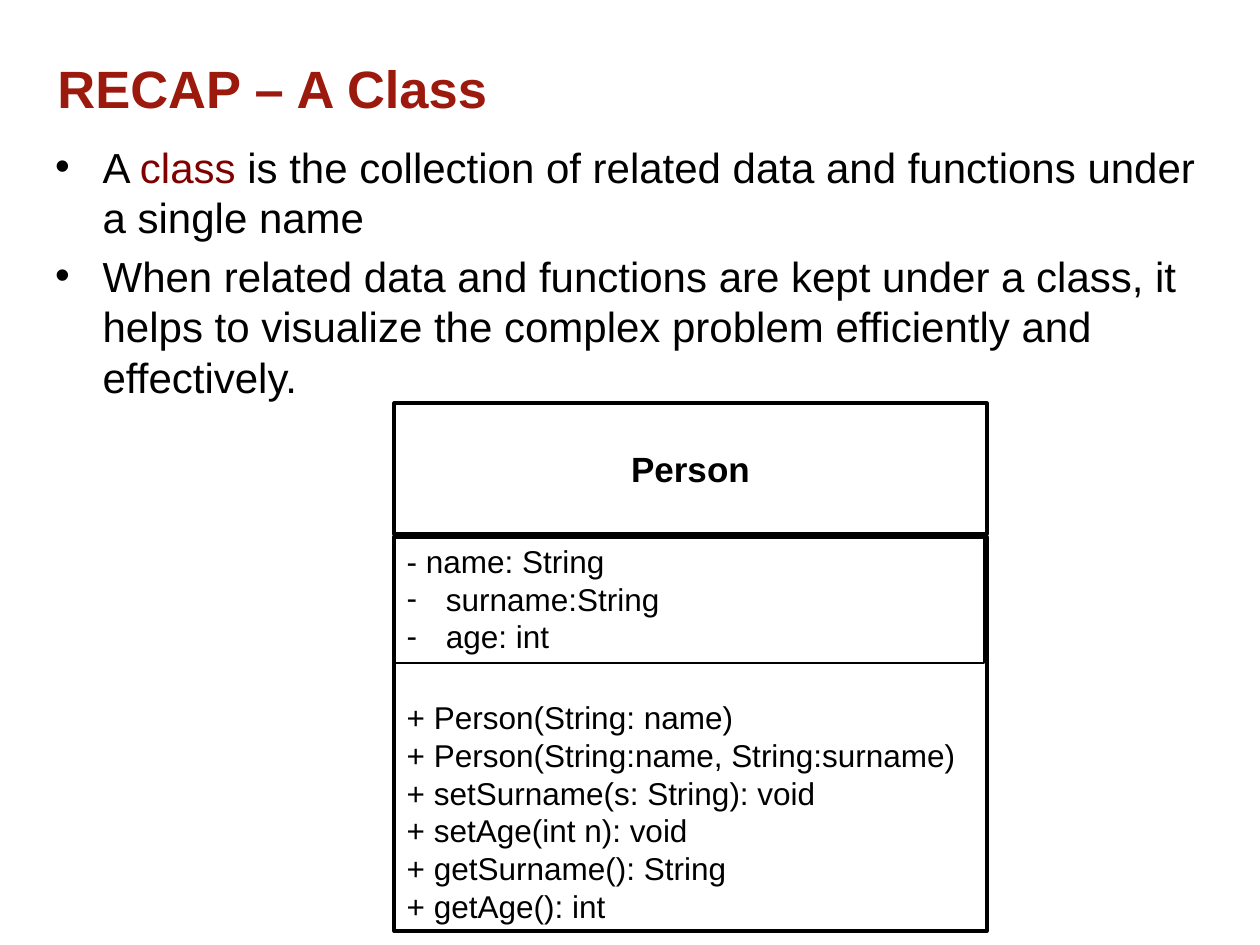
import pptx
import pptx.util
import pptx.dml.color
import pptx.enum.shapes
import pptx.enum.text
import lxml.etree

Cm = pptx.util.Cm
Pt = pptx.util.Pt
Align = pptx.enum.text.PP_ALIGN
Anchor = pptx.enum.text.MSO_ANCHOR


def color(code):
    return pptx.dml.color.RGBColor.from_string(code)


def write(shape, paras, form, anchor):
    frame = shape.text_frame
    frame.word_wrap = True
    frame.vertical_anchor = anchor
    for i, (mark, indent, runs) in enumerate(paras):
        para = frame.paragraphs[0] if i == 0 else frame.add_paragraph()
        para.alignment = form["align"]
        para.space_before = Pt(form["before"])
        if mark:
            props = para._p.get_or_add_pPr()
            props.set("marL", str(Cm(indent)))
            props.set("indent", str(-Cm(indent)))
            space = props.nsmap["a"]
            lxml.etree.SubElement(props, f"{{{space}}}buFont", typeface="Arial")
            lxml.etree.SubElement(props, f"{{{space}}}buChar", char=mark)
        for text, tint in runs:
            run = para.add_run()
            run.text = text
            for name, value in form["font"].items():
                setattr(run.font, name, value)
            run.font.color.rgb = color(tint)


deck = pptx.Presentation()
deck.slide_width = Cm(25.4)
deck.slide_height = Cm(19.05)
slide = deck.slides.add_slide(deck.slide_layouts[6])

black = "000000"
forms = {
    "title": {"align": Align.LEFT, "before": 0, "font": {"name": "Arial", "size": Pt(30), "bold": True}},
    "body": {"align": Align.LEFT, "before": 4.8, "font": {"name": "Arial", "size": Pt(24)}},
    "head": {"align": Align.CENTER, "before": 0, "font": {"name": "Arial", "size": Pt(20), "bold": True}},
    "part": {"align": Align.LEFT, "before": 0, "font": {"name": "Arial", "size": Pt(18)}},
}

title = slide.shapes.add_textbox(Cm(0.91), Cm(0.86), Cm(23.57), Cm(1.83))
write(title, [("", 0, [("RECAP – A Class", "9C190D")])], forms["title"], Anchor.MIDDLE)

body = slide.shapes.add_textbox(Cm(0.86), Cm(2.72), Cm(23.57), Cm(12.14))
points = [
    [("A ", black), ("class", "800000"),
     (" is the collection of related data and functions under a single name", black)],
    [("When related data and functions are kept under a class, it helps to visualize "
      "the complex problem efficiently and effectively.", black)],
]
write(body, [("•", 0.96, runs) for runs in points], forms["body"], Anchor.TOP)

fields = [("", "- name: String"), ("-", "surname:String"), ("-", "age: int")]
methods = [
    "+ Person(String: name)",
    "+ Person(String:name, String:surname)",
    "+ setSurname(s: String): void",
    "+ setAge(int n): void",
    "+ getSurname(): String",
    "+ getAge(): int",
]
boxes = [
    (8.13, 11.94, 2.64, 2.25, [("", "Person")], "head", Anchor.MIDDLE),
    (10.8, 11.89, 2.57, 0.75, fields, "part", Anchor.TOP),
    (10.82, 11.94, 7.95, 2.25, [("", text) for text in methods], "part", Anchor.BOTTOM),
]
for top, width, height, line, rows, form, anchor in boxes:
    box = slide.shapes.add_shape(
        pptx.enum.shapes.MSO_SHAPE.RECTANGLE, Cm(7.95), Cm(top), Cm(width), Cm(height))
    box.shadow.inherit = False
    box.fill.background()
    box.line.color.rgb = color(black)
    box.line.width = Pt(line)
    paras = [(mark, 0.79, [(text, black)]) for mark, text in rows]
    write(box, paras, forms[form], anchor)

deck.save("out.pptx")
